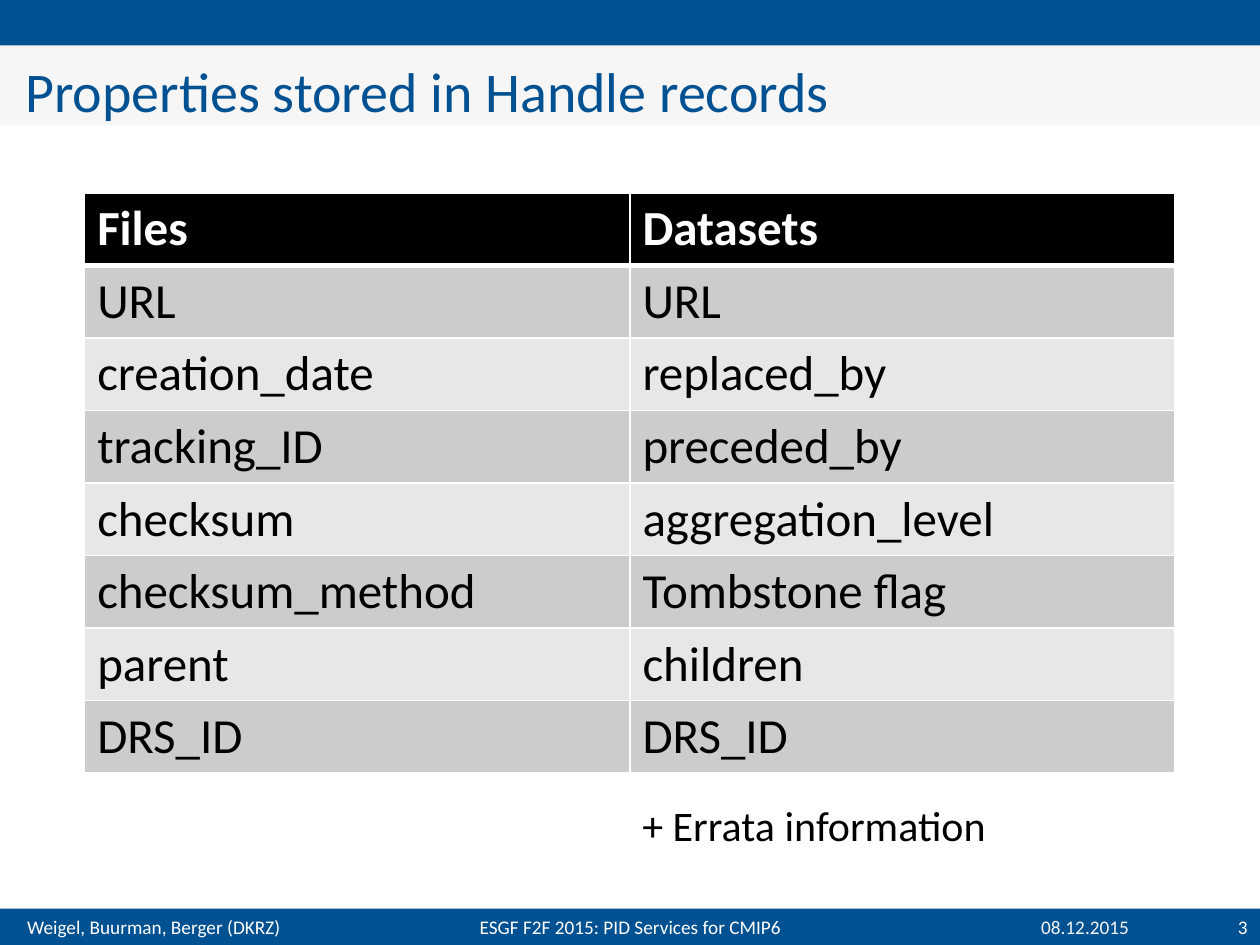
from dataclasses import dataclass

from lxml import etree
from pptx import Presentation
from pptx.dml.color import RGBColor
from pptx.enum.shapes import MSO_SHAPE
from pptx.enum.text import MSO_ANCHOR, MSO_AUTO_SIZE, PP_ALIGN
from pptx.oxml.ns import qn
from pptx.slide import Slide
from pptx.table import _Cell
from pptx.text.text import TextFrame
from pptx.util import Pt

RECTANGLE = MSO_SHAPE.RECTANGLE
TOP, MIDDLE = MSO_ANCHOR.TOP, MSO_ANCHOR.MIDDLE
LEFT, CENTER, RIGHT = PP_ALIGN.LEFT, PP_ALIGN.CENTER, PP_ALIGN.RIGHT
NO_AUTOFIT = MSO_AUTO_SIZE.NONE
TITLE_ONLY_LAYOUT = 5


@dataclass(frozen=True)
class Theme:
    font: str = "Calibri"
    blue: str = "005191"
    pale: str = "F6F6F6"
    white: str = "FFFFFF"
    black: str = "000000"
    bands: tuple[str, str] = ("CCCCCC", "E7E7E7")
    title_size: float = 32
    table_size: float = 28
    note_size: float = 24
    footer_size: float = 11


@dataclass(frozen=True)
class Box:
    left: float
    top: float
    width: float
    height: float


@dataclass(frozen=True)
class Label:
    text: str
    box: Box
    size: float
    color: str
    align: PP_ALIGN = LEFT
    anchor: MSO_ANCHOR = MIDDLE
    wrap: bool = True


THEME = Theme()
SLIDE_WIDTH, SLIDE_HEIGHT = 720, 540
HEADER_HEIGHT, TITLE_HEIGHT = 26, 45.5
FOOTER_TOP = 519.2
FOOTER_HEIGHT = SLIDE_HEIGHT - FOOTER_TOP
TABLE_BOX = Box(48.4, 110.3, 623.2, 330.4)
THIN, THICK = 1, 3

BARS = (
    Box(0, 0, SLIDE_WIDTH, HEADER_HEIGHT),
    Box(0, FOOTER_TOP, SLIDE_WIDTH, FOOTER_HEIGHT),
)
PROPERTIES = (
    ("Files", "Datasets"),
    ("URL", "URL"),
    ("creation_date", "replaced_by"),
    ("tracking_ID", "preceded_by"),
    ("checksum", "aggregation_level"),
    ("checksum_method", "Tombstone flag"),
    ("parent", "children"),
    ("DRS_ID", "DRS_ID"),
)


def footer_label(text: str, left: float, width: float, align: PP_ALIGN,
                 color: str = THEME.white) -> Label:
    box = Box(left, FOOTER_TOP, width, FOOTER_HEIGHT)
    return Label(text, box, THEME.footer_size, color, align)


LABELS = (
    footer_label("Weigel, Buurman, Berger (DKRZ)", 8.4, 187.2, LEFT),
    footer_label("ESGF F2F 2015: PID Services for CMIP6", 156.2, 408.2, CENTER),
    footer_label("08.12.2015", 569.5, 82.8, RIGHT, THEME.pale),
    footer_label("3", 660.2, 59.8, RIGHT),
    Label("+ Errata information", Box(360, 453.6, 218.9, 36),
          THEME.note_size, THEME.black, anchor=TOP, wrap=False),
)


def points(box: Box) -> tuple[Pt, Pt, Pt, Pt]:
    return Pt(box.left), Pt(box.top), Pt(box.width), Pt(box.height)


def set_fill(target, color: str) -> None:
    target.fill.solid()
    target.fill.fore_color.rgb = RGBColor.from_string(color)


def write_text(frame: TextFrame, text: str, size: float, color: str,
               align: PP_ALIGN = LEFT, bold: bool = False) -> None:
    paragraph = frame.paragraphs[0]
    paragraph.alignment = align
    run = paragraph.add_run()
    run.text = text
    run.font.name = THEME.font
    run.font.size = Pt(size)
    run.font.bold = bold
    run.font.color.rgb = RGBColor.from_string(color)


def add_bar(slide: Slide, box: Box) -> None:
    bar = slide.shapes.add_shape(RECTANGLE, *points(box))
    bar.shadow.inherit = False
    set_fill(bar, THEME.blue)
    bar.line.fill.background()


def add_label(slide: Slide, label: Label) -> None:
    frame = slide.shapes.add_textbox(*points(label.box)).text_frame
    frame.word_wrap = label.wrap
    frame.vertical_anchor = label.anchor
    write_text(frame, label.text, label.size, label.color, label.align)


def format_title(slide: Slide, text: str) -> None:
    title = slide.shapes.title
    box = Box(0, HEADER_HEIGHT, SLIDE_WIDTH, TITLE_HEIGHT)
    title.left, title.top, title.width, title.height = points(box)
    set_fill(title, THEME.pale)
    frame = title.text_frame
    frame.auto_size = NO_AUTOFIT
    frame.vertical_anchor = TOP
    frame.margin_left = frame.margin_right = Pt(14.4)
    frame.margin_top, frame.margin_bottom = Pt(6), Pt(0)
    write_text(frame, text, THEME.title_size, THEME.blue)


def set_borders(cell: _Cell, top: float, bottom: float) -> None:
    """Draw white edges; they must precede the fill in the cell properties."""
    properties = cell._tc.get_or_add_tcPr()
    edges = {"a:lnL": THIN, "a:lnR": THIN, "a:lnT": top, "a:lnB": bottom}
    for position, (tag, width) in enumerate(edges.items()):
        line = etree.Element(qn(tag), w=str(int(Pt(width))))
        solid = etree.SubElement(line, qn("a:solidFill"))
        etree.SubElement(solid, qn("a:srgbClr"), val=THEME.white)
        properties.insert(position, line)


def add_property_table(slide: Slide) -> None:
    row_count, column_count = len(PROPERTIES), len(PROPERTIES[0])
    table = slide.shapes.add_table(
        row_count, column_count, *points(TABLE_BOX)).table
    for column in table.columns:
        column.width = Pt(TABLE_BOX.width / column_count)
    for row_index, values in enumerate(PROPERTIES):
        table.rows[row_index].height = Pt(TABLE_BOX.height / row_count)
        header = row_index == 0
        fill = THEME.black if header else THEME.bands[(row_index - 1) % 2]
        color = THEME.white if header else THEME.black
        for column_index, text in enumerate(values):
            cell = table.cell(row_index, column_index)
            set_fill(cell, fill)
            set_borders(cell, top=THICK if row_index == 1 else THIN,
                        bottom=THICK if header else THIN)
            write_text(cell.text_frame, text, THEME.table_size, color,
                       bold=header)


def main() -> None:
    presentation = Presentation()
    presentation.slide_width = Pt(SLIDE_WIDTH)
    presentation.slide_height = Pt(SLIDE_HEIGHT)
    layout = presentation.slide_layouts[TITLE_ONLY_LAYOUT]
    slide = presentation.slides.add_slide(layout)
    format_title(slide, "Properties stored in Handle records")
    for bar in BARS:
        add_bar(slide, bar)
    add_property_table(slide)
    for label in LABELS:
        add_label(slide, label)
    presentation.save("out.pptx")


if __name__ == "__main__":
    main()
